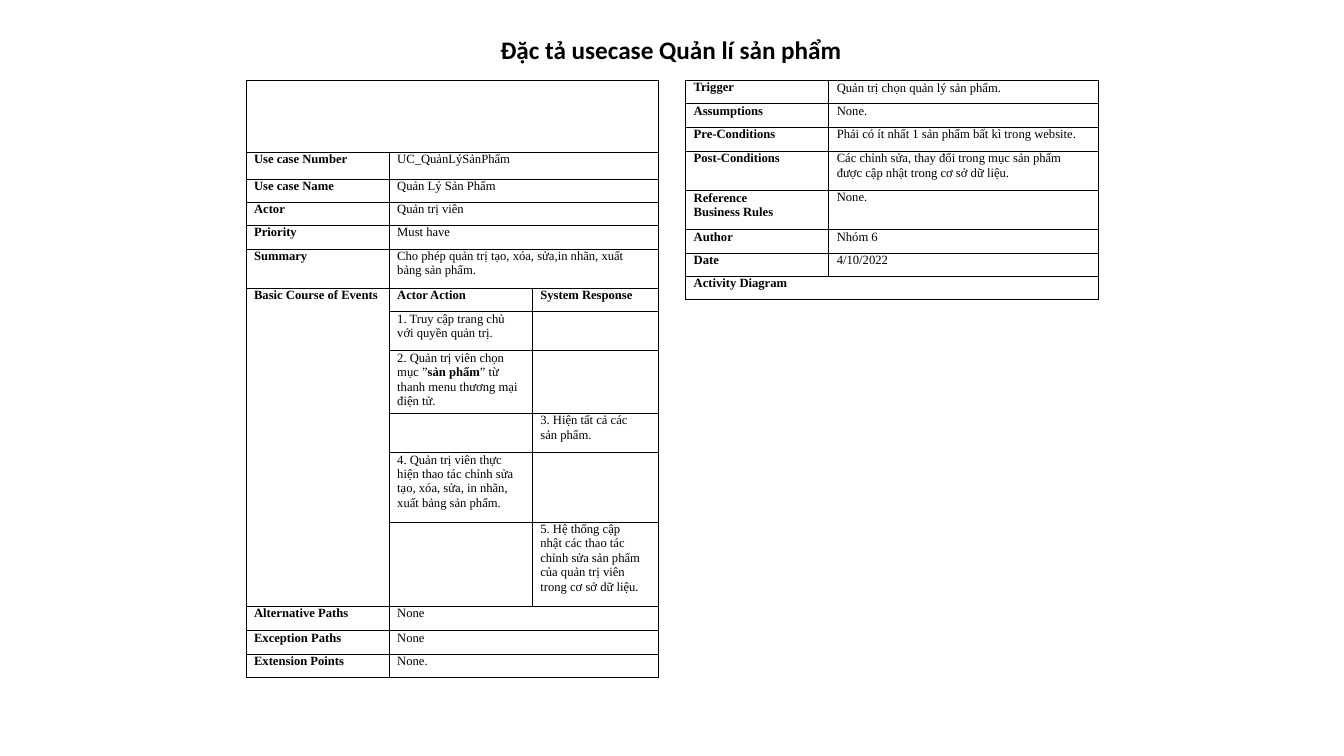
from lxml import etree
from pptx import Presentation
from pptx.enum.text import MSO_ANCHOR, PP_ALIGN
from pptx.dml.color import RGBColor
from pptx.oxml.ns import qn
from pptx.util import Inches, Pt

CENTER = PP_ALIGN.CENTER
LEFT = PP_ALIGN.LEFT
TOP = MSO_ANCHOR.TOP
COLORS = {"ink": "000000"}
BORDER_WIDTH = Pt(0.58)
TABLE_TOP = 0.8
CELL_INDENT = 0.08
WRAP_LENGTH = 25

EVENT_COLUMNS = [(1.42, 0.12), (1.42, 0.12), (1.25, 0.18)]
EVENT_ROWS = [
    (0.71, ["", "", ""]),
    (0.27, ["*Use case Number*", "UC_QuảnLýSảnPhẩm", ""]),
    (0.23, ["*Use case Name*", "Quản Lý Sản Phẩm", ""]),
    (0.23, ["*Actor*", "Quản trị viên", ""]),
    (0.23, ["*Priority*", "Must have", ""]),
    (0.39, ["*Summary*", "Cho phép quản trị tạo, xóa, sửa,in nhãn, xuất bảng sản phẩm.", ""]),
    (0.23, ["*Basic Course of Events*", "*Actor Action*", "*System Response*"]),
    (0.39, ["", "1. Truy cập trang chủ với quyền quản trị.", ""]),
    (0.62, ["", "2. Quản trị viên chọn mục ”*sản phẩm*” từ thanh menu thương mại điện tử.", ""]),
    (0.39, ["", "", "3. Hiện tất cả các sản phẩm."]),
    (0.69, ["", "4. Quản trị viên thực hiện thao tác chỉnh sửa tạo, xóa, sửa, in nhãn, "
                "xuất bảng sản phẩm.", ""]),
    (0.84, ["", "", "5. Hệ thống cập nhật các thao tác chỉnh sửa sản phẩm của quản trị viên "
                    "trong cơ sở dữ liệu."]),
    (0.24, ["*Alternative Paths*", "None", ""]),
    (0.23, ["*Exception Paths*", "None", ""]),
    (0.23, ["*Extension Points*", "None.", ""]),
]
EVENT_MERGES = [(0, 0, 0, 2), (6, 0, 11, 0)] + [
    (row, 1, row, 2) for row in (1, 2, 3, 4, 5, 12, 13, 14)
]

CONDITION_COLUMNS = [(1.42, 0.4), (2.67, 0.12)]
CONDITION_ROWS = [
    (0.23, ["*Trigger*", "Quản trị chọn quản lý sản phẩm."]),
    (0.23, ["*Assumptions*", "None."]),
    (0.24, ["*Pre-Conditions*", "Phải có ít nhất 1 sản phẩm bất kì trong website."]),
    (0.39, ["*Post-Conditions*", "Các chỉnh sửa, thay đổi trong mục sản phẩm "
                                 "được cập nhật trong cơ sở dữ liệu."]),
    (0.39, ["*Reference Business Rules*", "None."]),
    (0.23, ["*Author*", "Nhóm 6"]),
    (0.23, ["*Date*", "4/10/2022"]),
    (0.23, ["*Activity Diagram*", ""]),
]
CONDITION_MERGES = [(7, 0, 7, 1)]


def write_text(paragraph, text, *, font, size, color, align=LEFT):
    paragraph.alignment = align
    for index, part in enumerate(text.split("*")):
        if part:
            run = paragraph.add_run()
            run.text = part
            run.font.name = font
            run.font.size = Pt(size)
            run.font.bold = index % 2 == 1
            run.font.color.rgb = RGBColor.from_string(color)


def add_title(slide, text, left, top, width, height):
    frame = slide.shapes.add_textbox(
        Inches(left), Inches(top), Inches(width), Inches(height)
    ).text_frame
    frame.word_wrap = False
    write_text(frame.paragraphs[0], text, font="Calibri", size=18,
               color=COLORS["ink"], align=CENTER)


def draw_borders(cell):
    properties = cell._tc.get_or_add_tcPr()
    for side in ("lnL", "lnR", "lnT", "lnB"):
        line = etree.SubElement(properties, qn(f"a:{side}"), w=str(BORDER_WIDTH))
        fill = etree.SubElement(line, qn("a:solidFill"))
        etree.SubElement(fill, qn("a:srgbClr"), val=COLORS["ink"])


def format_cell(cell, text, wrap_indent):
    cell.margin_left = cell.margin_right = cell.margin_top = cell.margin_bottom = 0
    cell.vertical_anchor = TOP
    draw_borders(cell)
    cell.fill.background()
    if not text:
        return
    paragraph = cell.text_frame.paragraphs[0]
    write_text(paragraph, text, font="Times New Roman", size=9, color=COLORS["ink"])
    properties = paragraph._p.get_or_add_pPr()
    properties.set("marL", str(Inches(CELL_INDENT)))
    if len(text) >= WRAP_LENGTH:
        properties.set("marR", str(Inches(wrap_indent)))
        paragraph.line_spacing = 1.03


def add_specification(slide, left, columns, rows, merges):
    width = sum(column_width for column_width, _ in columns)
    height = sum(row_height for row_height, _ in rows)
    table = slide.shapes.add_table(
        len(rows), len(columns), Inches(left), Inches(TABLE_TOP),
        Inches(width), Inches(height)
    ).table
    table.first_row = table.horz_banding = False
    for column, (column_width, _) in zip(table.columns, columns):
        column.width = Inches(column_width)
    for row, (row_height, texts) in zip(table.rows, rows):
        row.height = Inches(row_height)
        for cell, text, (_, wrap_indent) in zip(row.cells, texts, columns):
            format_cell(cell, text, wrap_indent)
    for first_row, first_column, last_row, last_column in merges:
        table.cell(first_row, first_column).merge(table.cell(last_row, last_column))


def main():
    presentation = Presentation()
    presentation.slide_width = Inches(13.33)
    presentation.slide_height = Inches(7.5)
    slide = presentation.slides.add_slide(presentation.slide_layouts[6])
    add_specification(slide, 2.44, EVENT_COLUMNS, EVENT_ROWS, EVENT_MERGES)
    add_specification(slide, 6.8, CONDITION_COLUMNS, CONDITION_ROWS, CONDITION_MERGES)
    add_title(slide, "*Đặc tả usecase Quản lí sản phẩm*", 4.85, 0.29, 3.61, 0.4)
    presentation.save("out.pptx")


if __name__ == "__main__":
    main()
